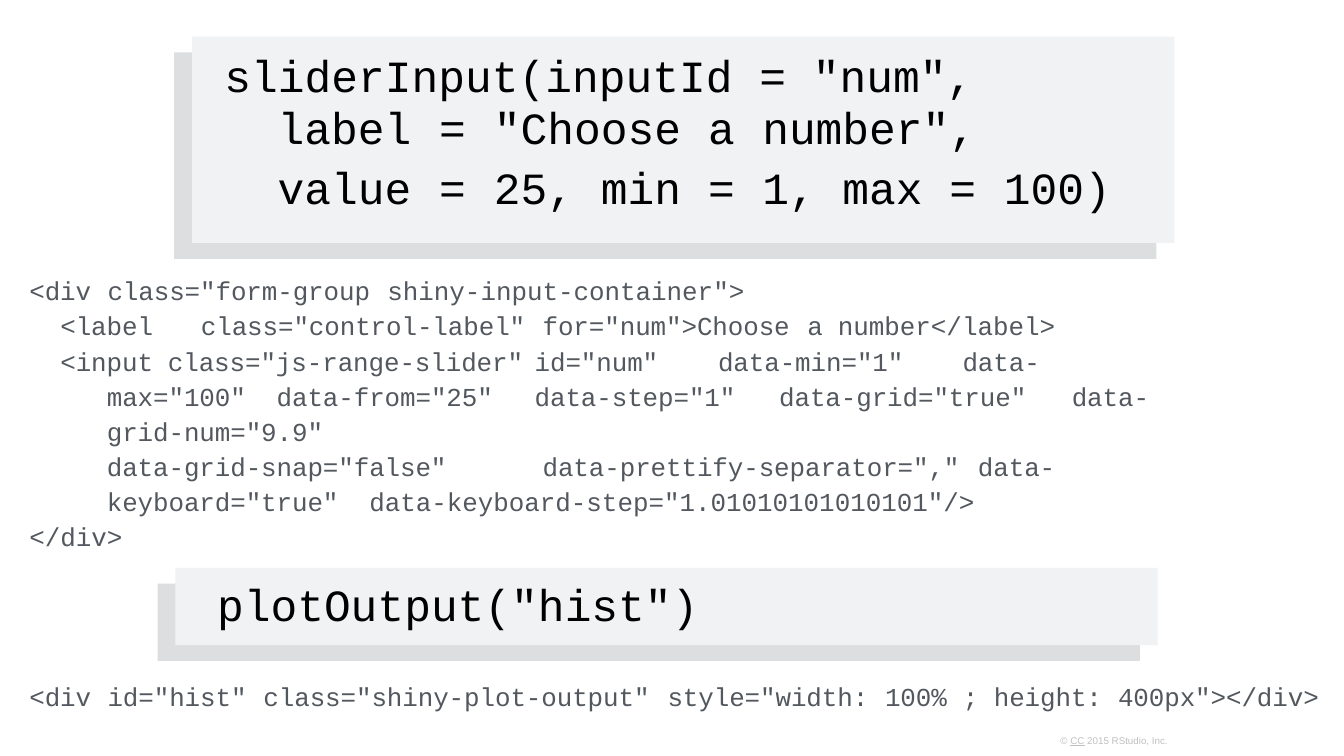
from lxml.etree import SubElement
from pptx import Presentation
from pptx.dml.color import RGBColor
from pptx.enum.shapes import MSO_SHAPE
from pptx.enum.text import PP_ALIGN
from pptx.oxml.ns import qn
from pptx.util import Cm, Pt

CODE_FONT = "Courier New"
PANEL, SHADE, BLACK, GREY, PALE = "F0F2F4", "DCDEE0", "000000", "53585F", "C0C0C0"
PANEL_W, SHIFT_X, SHIFT_Y = 40.82, 0.74, 0.66
NO_STYLE = "{2D5ABB26-0587-4C30-8999-92F81FD0307C}"


def rgb(value):
    """Turn a hex string into a colour."""
    return RGBColor.from_string(value)


def add_run(p, text, size, color, spacing=0, font=CODE_FONT):
    """Append one formatted run; spacing is in hundredths of a point."""
    r = p.add_run()
    r.text = text
    r.font.size, r.font.name = Pt(size), font
    r.font.color.rgb = rgb(color)
    r.font._element.set("spc", str(spacing))
    return r


def set_layout(p, margin=0, indent=0, tabs=(), before=0, line=None):
    """Set the indents, tab stops and spacing of a paragraph."""
    pPr = p._p.get_or_add_pPr()
    pPr.set("marL", str(Cm(margin)))
    pPr.set("defTabSz", str(Cm(2.54)))
    if indent:
        pPr.set("indent", str(Cm(indent)))
    if tabs:
        stops = SubElement(pPr, qn("a:tabLst"))
        for pos in tabs:
            SubElement(stops, qn("a:tab"), pos=str(Cm(pos)), algn="l")
    if before:
        p.space_before = Pt(before)
    if line:
        p.line_spacing = line


def add_text_frame(s, x, y, w, h, top=0):
    """Add a wrapping text box and return its frame."""
    tf = s.shapes.add_textbox(Cm(x), Cm(y), Cm(w), Cm(h)).text_frame
    tf.word_wrap = True
    tf.margin_left = tf.margin_right = tf.margin_bottom = 0
    tf.margin_top = Cm(top)
    return tf


def add_call_panel(s, x, y, h, text, margin, line):
    """Draw a shaded panel with the first line of a function call."""
    for left, top, color in ((x - SHIFT_X, y + SHIFT_Y, SHADE), (x, y, PANEL)):
        sp = s.shapes.add_shape(MSO_SHAPE.RECTANGLE, Cm(left), Cm(top), Cm(PANEL_W), Cm(h))
        sp.shadow.inherit = False
        sp.fill.solid()
        sp.fill.fore_color.rgb = rgb(color)
        sp.line.fill.background()
    p = add_text_frame(s, x, y + SHIFT_Y, PANEL_W, h - SHIFT_Y).paragraphs[0]
    set_layout(p, margin, line=Pt(line))
    add_run(p, text, 52.5, BLACK, 10)


def add_argument_table(s, x, y):
    """Place the remaining slider arguments in an aligned grid."""
    widths, row_h = (6.22, 2.24, 8.94, 2.24, 10.06, 5.11), 2.41
    rows = (("label", "=", '"Choose', "a", 'number",', ""),
            ("value", "=", "25, min", "=", "1, max =", "100)"))
    aligns = (PP_ALIGN.LEFT, PP_ALIGN.CENTER, PP_ALIGN.RIGHT,
              PP_ALIGN.CENTER, PP_ALIGN.CENTER, PP_ALIGN.LEFT)
    margins = (0.08, 0, 0, 0, 0, 0.56)
    frame = s.shapes.add_table(len(rows), len(widths), Cm(x), Cm(y),
                               Cm(sum(widths)), Cm(row_h * len(rows)))
    table = frame.table
    table.first_row = table.horz_banding = False
    table._tbl.tblPr.find(qn("a:tableStyleId")).text = NO_STYLE
    for col, width in zip(table.columns, widths):
        col.width = Cm(width)
    for i, row in enumerate(rows):
        table.rows[i].height = Cm(row_h)
        for j, text in enumerate(row):
            cell = table.cell(i, j)
            cell.fill.solid()
            cell.fill.fore_color.rgb = rgb(PANEL)
            cell.margin_left = cell.margin_bottom = 0
            cell.margin_right = Cm(0.54 if aligns[j] == PP_ALIGN.RIGHT else 0)
            cell.margin_top = Cm(0.08 * i)
            if text:
                p = cell.text_frame.paragraphs[0]
                set_layout(p, margins[j], before=(0.2, 2.4)[i])
                p.alignment = aligns[j]
                add_run(p, text, 52.5, BLACK, 10 if len(text) > 1 else 0)


def add_html(s, x, y, w, h, top, lines):
    """Write HTML lines, each a pair of layout options and runs."""
    tf = add_text_frame(s, x, y, w, h, top)
    for i, (layout, runs) in enumerate(lines):
        p = tf.add_paragraph() if i else tf.paragraphs[0]
        set_layout(p, **layout)
        for text, spacing in runs:
            add_run(p, text, 30.5, GREY, spacing)


def add_footer(s, x, y, w, h):
    """Write the copyright line."""
    p = add_text_frame(s, x, y, w, h).paragraphs[0]
    set_layout(p, 0.03, line=Pt(12.2))
    for text in ("© ", "CC", " ", "2015 RStudio, Inc."):
        r = add_run(p, text, 11.5, PALE, font="Arial")
        r.font.underline = text == "CC"


SLIDER_HTML = (
    (dict(margin=0.03, tabs=(3.25, 14.88)),
     (('<div\tclass="form-group\t', -10), ('shiny-input-container">', 0))),
    (dict(margin=1.32, before=4.7, tabs=(5.84, 20.04, 31.04, 32.31)),
     (('<label\tclass="control-label"\tfor="num">Choose\t', -10), ("a\tnumber</label>", 0))),
    (dict(margin=3.25, indent=-1.93, line=1.13,
          tabs=(5.84, 12.95, 21.34, 22, 27.15, 32.97, 35.56)),
     (('<input\tclass="js-range-slider"\tid="num"\tdata-min="1"\tdata-max="100"  data-from="25', -10),
      ('"\t', 0), ('data-step="1', -10), ('"\t', 0), ('data-grid="true', -10),
      ('"\t', 0), ('data-grid-num="9.9"', -10))),
    (dict(margin=3.25, before=0.1, line=1.13, tabs=(18.11, 36.2)),
     (('data-grid-snap="false', -10), ('"\t', 0), ('data-prettify-separator=",', -10),
      ('"\t', 0), ('data-keyboard="true"  ', -10),
      ('data-keyboard-step="1.01010101010101"/>', 0))),
    (dict(margin=0.03, before=4.7), (("</div>", 0),)),
)
PLOT_HTML = (
    (dict(margin=0.03, tabs=(3.25, 9.73, 26.52, 35.56, 38.79, 40.08, 45.24)),
     (('<div\tid="hist"\tclass="shiny-plot-output"\tstyle="width:\t100%\t', -10),
      (";\t", 0), ('height:\t400px"></div>', -10))),
)


def main():
    """Build the slide and save it."""
    prs = Presentation()
    prs.slide_width, prs.slide_height = Cm(55.85), Cm(31.42)
    s = prs.slides.add_slide(prs.slide_layouts[6])
    add_call_panel(s, 7.29, 23.6, 3.21, 'plotOutput("hist")', 1.73, 55.2)
    add_html(s, 1.19, 28.27, 53.8, 1.37, 0.03, PLOT_HTML)
    add_call_panel(s, 7.98, 1.52, 8.58, 'sliderInput(inputId = "num",', 1.35, 57.9)
    add_footer(s, 44.04, 30.58, 4.6, 0.48)
    add_argument_table(s, 11.46, 4.47)
    add_html(s, 1.19, 11.23, 46.6, 10.26, 0.2, SLIDER_HTML)
    prs.save("out.pptx")


if __name__ == "__main__":
    main()
